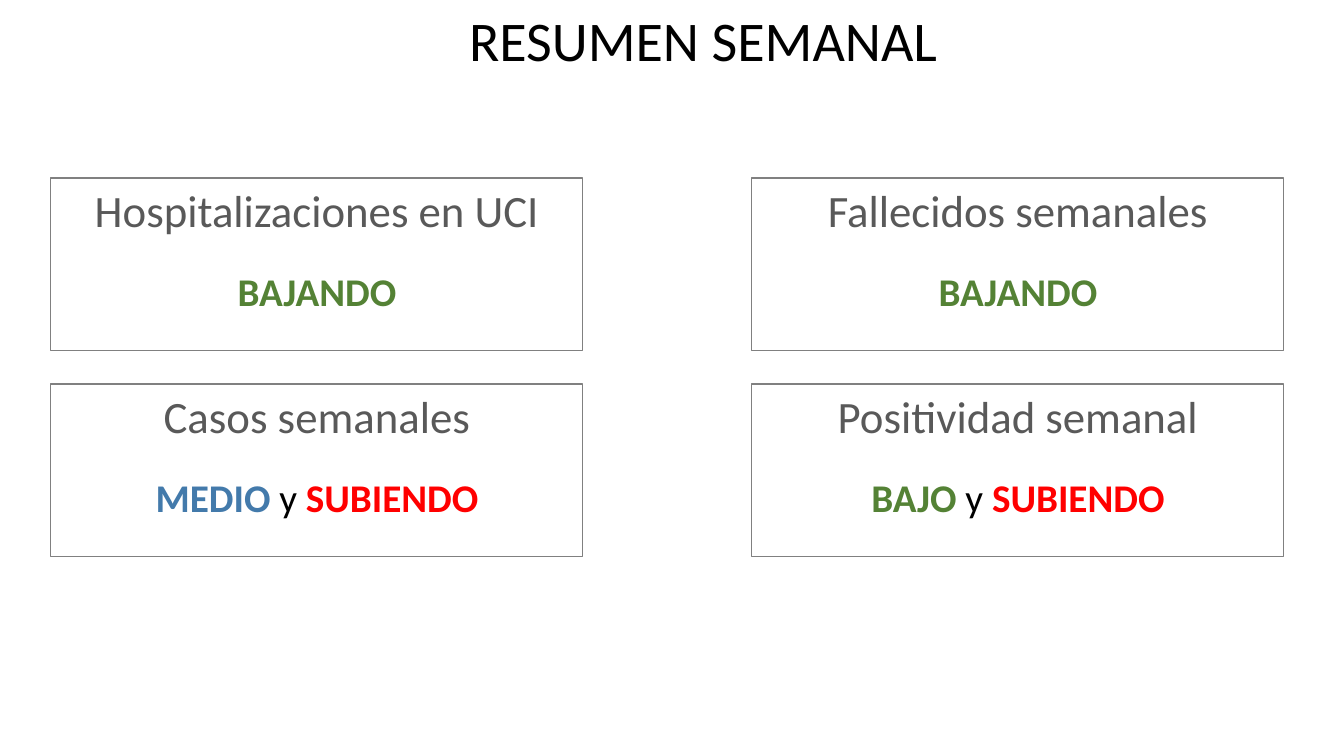
from pptx import Presentation
from pptx.dml.color import RGBColor
from pptx.enum import shapes, text
from pptx.util import Emu, Pt

FONT = "Calibri"
BLACK, GREY, GREEN, BLUE, RED = "000000", "595959", "548235", "437AAB", "FF0000"
BORDER = "808080"

CARD_LEFT, CARD_TOP = 51, 178
CARD_WIDTH, CARD_HEIGHT = 532, 173
COLUMN_STEP, ROW_STEP = 701, 206

INDICATORS = [
    [
        ("Hospitalizaciones en UCI", [("BAJANDO", GREEN)]),
        ("Fallecidos semanales", [("BAJANDO", GREEN)]),
    ],
    [
        ("Casos semanales", [("MEDIO", BLUE), (" y ", BLACK), ("SUBIENDO", RED)]),
        ("Positividad semanal", [("BAJO", GREEN), (" y ", BLACK), ("SUBIENDO", RED)]),
    ],
]


def px(length):
    return Emu(round(length * 914400 / 100.8))


def rgb(value):
    return RGBColor.from_string(value)


def set_font(font, size, color):
    font.name = FONT
    font.size = Pt(size)
    font.color.rgb = rgb(color)


def add_title(slide, left, top, width, height):
    title = slide.shapes.title
    title.left, title.top = px(left), px(top)
    title.width, title.height = px(width), px(height)
    frame = title.text_frame
    frame.text = "RESUMEN SEMANAL"
    frame.word_wrap = False
    frame.auto_size = text.MSO_AUTO_SIZE.SHAPE_TO_FIT_TEXT
    frame.vertical_anchor = text.MSO_ANCHOR.TOP
    paragraph = frame.paragraphs[0]
    paragraph.alignment = text.PP_ALIGN.LEFT
    set_font(paragraph.font, 40, BLACK)


def add_indicator(slide, left, top, width, height, name, trend):
    """Draw a bordered card with an indicator name above its coloured trend."""
    card = slide.shapes.add_shape(
        shapes.MSO_SHAPE.RECTANGLE, px(left), px(top), px(width), px(height))
    card.shadow.inherit = False
    card.fill.background()
    card.line.color.rgb = rgb(BORDER)
    card.line.width = Pt(0.75)

    frame = card.text_frame
    frame.word_wrap = True
    frame.vertical_anchor = text.MSO_ANCHOR.TOP
    heading = frame.paragraphs[0]
    heading.text = name
    heading.alignment = text.PP_ALIGN.CENTER
    set_font(heading.font, 32, GREY)

    status = frame.add_paragraph()
    status.alignment = text.PP_ALIGN.CENTER
    status.space_before = Pt(22)
    for words, color in trend:
        run = status.add_run()
        run.text = words
        set_font(run.font, 28, color)
        run.font.bold = color != BLACK


def main():
    presentation = Presentation()
    presentation.slide_width, presentation.slide_height = px(1344), px(756)
    slide = presentation.slides.add_slide(presentation.slide_layouts.get_by_name("Title Only"))
    add_title(slide, 459, 0, 493, 78)
    for row, indicators in enumerate(INDICATORS):
        for column, (name, trend) in enumerate(indicators):
            add_indicator(
                slide, CARD_LEFT + column * COLUMN_STEP, CARD_TOP + row * ROW_STEP,
                CARD_WIDTH, CARD_HEIGHT, name, trend)
    presentation.save("out.pptx")


if __name__ == "__main__":
    main()
